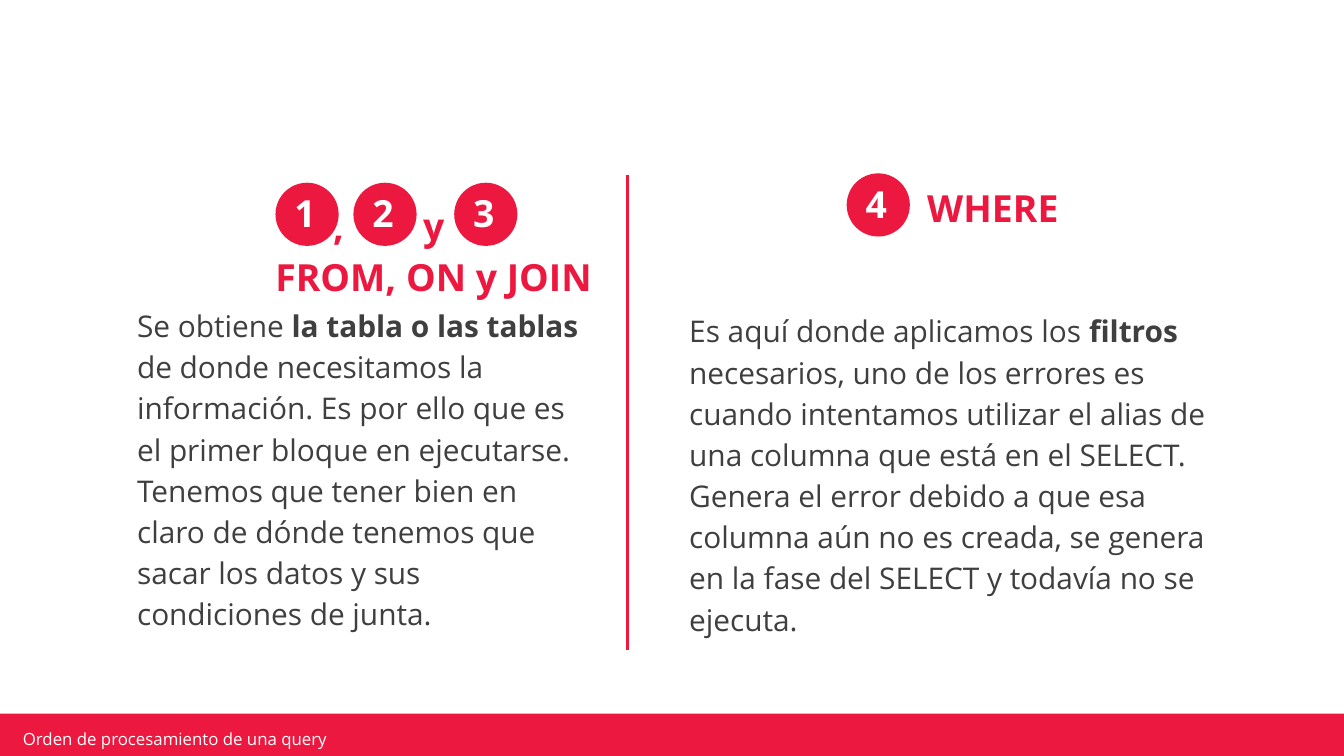
import pptx
import pptx.util
import pptx.dml.color
import pptx.enum.shapes
import pptx.enum.text
import pptx.oxml
import pptx.oxml.ns

Inches = pptx.util.Inches
Pt = pptx.util.Pt
SHAPE = pptx.enum.shapes.MSO_SHAPE
ANCHOR = pptx.enum.text.MSO_ANCHOR
ALIGN = pptx.enum.text.PP_ALIGN

COLORS = {"red": "EC183F", "text": "3F3F3F", "white": "FFFFFF"}
FONT = "Open Sans"
DISC = 0.47


def color(name):
    return pptx.dml.color.RGBColor.from_string(COLORS[name])


def style(paragraph, size, color_name, bold=False):
    paragraph.font.name = FONT
    paragraph.font.size = Pt(size)
    paragraph.font.bold = bold
    paragraph.font.color.rgb = color(color_name)


def set_frame(frame, inset_x, inset_y, anchor=ANCHOR.TOP):
    frame.word_wrap = True
    frame.auto_size = pptx.enum.text.MSO_AUTO_SIZE.NONE
    frame.vertical_anchor = anchor
    frame.margin_left = frame.margin_right = Inches(inset_x)
    frame.margin_top = frame.margin_bottom = Inches(inset_y)


def add_text_box(slide, left, top, width, height):
    return slide.shapes.add_textbox(
        Inches(left), Inches(top), Inches(width), Inches(height))


def add_red_shape(slide, preset, left, top, width, height):
    shape = slide.shapes.add_shape(
        preset, Inches(left), Inches(top), Inches(width), Inches(height))
    shape.shadow.inherit = False
    shape.fill.solid()
    shape.fill.fore_color.rgb = color("red")
    shape.line.fill.background()
    return shape


def add_footer(slide, left, top, width, height):
    add_red_shape(slide, SHAPE.RECTANGLE, left, top, width, height)
    topic = add_text_box(slide, left + 0.14, top + 0.11, 2.39, 0.15).text_frame
    set_frame(topic, 0.05, 0.02, ANCHOR.MIDDLE)
    topic.text = "Orden de procesamiento de una query"
    style(topic.paragraphs[0], 9, "white")


def add_step(slide, number, left, top):
    disc = add_red_shape(slide, SHAPE.OVAL, left, top, DISC, DISC)
    set_frame(disc.text_frame, 0, 0, ANCHOR.MIDDLE)
    disc.text_frame.margin_right = Inches(0.03)
    disc.text_frame.margin_bottom = Inches(0.02)
    disc.text_frame.text = str(number)
    label = disc.text_frame.paragraphs[0]
    label.alignment = ALIGN.CENTER
    style(label, 20, "white", bold=True)


def add_heading(slide, lines, left, top, width, height, tabs=()):
    frame = add_text_box(slide, left, top, width, height).text_frame
    set_frame(frame, 0.1, 0.1)
    heading = frame.paragraphs[0]
    if tabs:
        properties = heading._p.get_or_add_pPr()
        tab_list = properties.makeelement(pptx.oxml.ns.qn("a:tabLst"), {})
        properties.append(tab_list)
        for position in tabs:
            tab_list.append(tab_list.makeelement(
                pptx.oxml.ns.qn("a:tab"),
                {"pos": str(Inches(position)), "algn": "l"}))
        heading.line_spacing = 1.15
    for index, line in enumerate(lines):
        if index:
            heading.add_line_break()
        heading.add_run().text = line
    style(heading, 20, "red", bold=True)


def write_explanation(frame, opening, key_words, rest, follow_up):
    set_frame(frame, 0.1, 0.1)
    explanation = frame.paragraphs[0]
    properties = explanation._p.get_or_add_pPr()
    properties.set("marL", "0")
    properties.set("indent", "0")
    properties.append(properties.makeelement(pptx.oxml.ns.qn("a:buNone"), {}))
    explanation.line_spacing = 1.15
    explanation.space_before = Pt(0)
    style(explanation, 16, "text")
    explanation.add_run().text = opening
    emphasis = explanation.add_run()
    emphasis.text = key_words
    emphasis.font.bold = True
    explanation.add_run().text = rest
    explanation.add_line_break()
    explanation.add_run().text = follow_up


def add_join_column(slide, left, top, width, height):
    body = slide.placeholders[1]
    body.left, body.top = Inches(left), Inches(top + 0.85)
    body.width, body.height = Inches(width), Inches(height - 0.85)
    write_explanation(
        body.text_frame, "Se obtiene ", "la tabla o las tablas",
        " de donde necesitamos la información. "
        "Es por ello que es el primer bloque en ejecutarse.",
        "Tenemos que tener bien en claro de dónde tenemos que sacar "
        "los datos y sus condiciones de junta.")
    add_heading(slide, ["\t,\ty", "FROM, ON y JOIN"],
                left + 1.03, top + 0.06, 2.78, 1.3, tabs=(0.43, 1.1))
    for number, offset in enumerate((1.13, 1.71, 2.46), 1):
        add_step(slide, number, left + offset, top + 0.06)


def add_where_column(slide, left, top, width, height):
    details = add_text_box(slide, left, top + 0.89, width, height - 0.89)
    write_explanation(
        details.text_frame, "Es aquí donde aplicamos los ", "filtros",
        " necesarios, uno de los errores es cuando intentamos utilizar "
        "el alias de una columna que está en el SELECT.",
        "Genera el error debido a que esa columna aún no es creada, "
        "se genera en la fase del SELECT y todavía no se ejecuta.")
    add_heading(slide, ["WHERE"], left + 1.77, top - 0.02, 2.78, 0.77)
    add_step(slide, 4, left + 1.27, top - 0.01)


def add_divider(slide, x, top, height):
    divider = slide.shapes.add_connector(
        pptx.enum.shapes.MSO_CONNECTOR.STRAIGHT,
        Inches(x), Inches(top), Inches(x), Inches(top + height))
    divider.line.color.rgb = color("red")
    divider.line.width = Pt(1.5)
    properties = divider._element.spPr
    properties.append(
        properties.makeelement(pptx.oxml.ns.qn("a:effectLst"), {}))


def main():
    deck = pptx.Presentation()
    deck.slide_width = Inches(10)
    deck.slide_height = deck.slide_width * 9 // 16
    slide = deck.slides.add_slide(deck.slide_layouts[1])
    title = slide.shapes.title._element
    title.getparent().remove(title)
    add_footer(slide, -0.02, 5.31, 10.03, 0.36)
    add_join_column(slide, 0.92, 1.3, 3.56, 3.54)
    add_where_column(slide, 5.03, 1.3, 4.19, 3.57)
    add_divider(slide, 4.67, 1.3, 3.54)
    deck.save("out.pptx")


if __name__ == "__main__":
    main()
